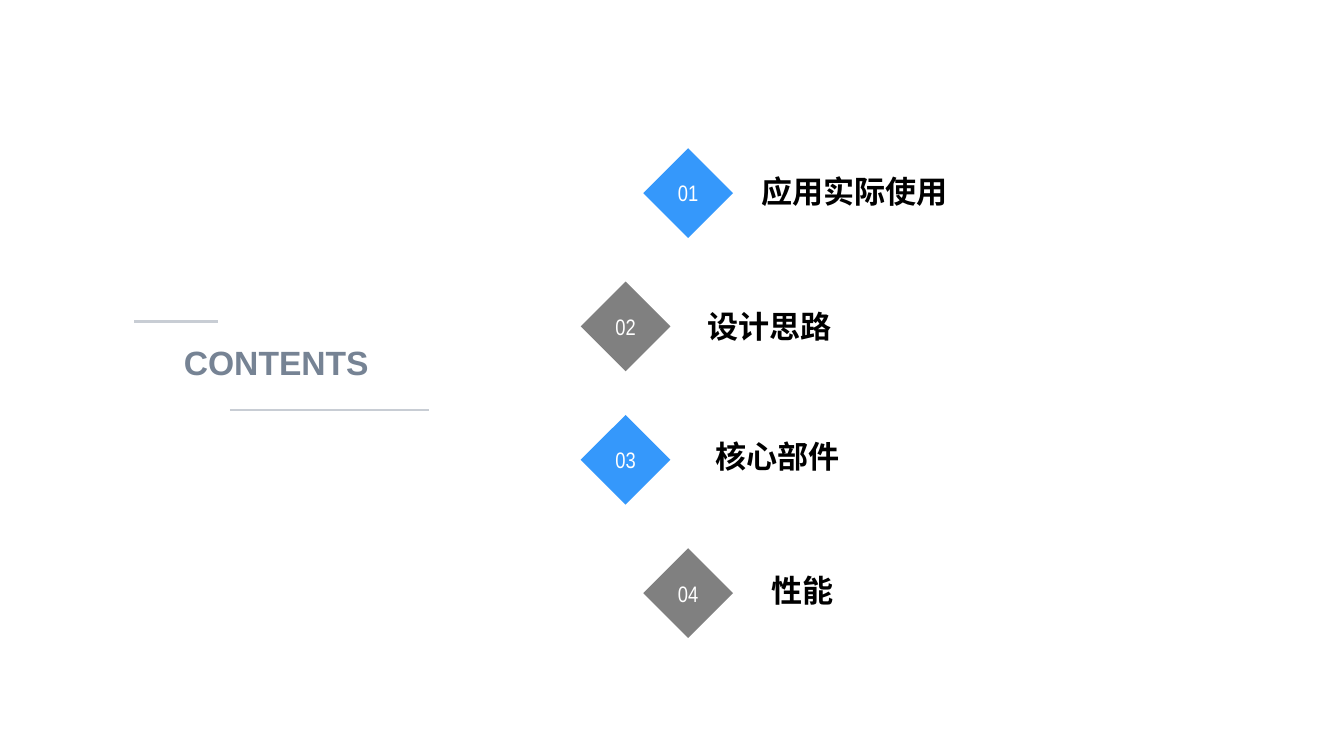
from lxml.etree import SubElement
from pptx import Presentation
from pptx.dml.color import RGBColor
from pptx.enum.shapes import MSO_CONNECTOR, MSO_SHAPE
from pptx.enum.text import MSO_ANCHOR, MSO_AUTO_SIZE, PP_ALIGN
from pptx.oxml.ns import qn
from pptx.util import Inches, Pt

BLUE = RGBColor(0x35, 0x98, 0xFB)
GRAY = RGBColor(0x80, 0x80, 0x80)
SLATE = RGBColor(0x76, 0x83, 0x94)
RULE = RGBColor(0xC8, 0xCD, 0xD4)
WHITE = RGBColor(0xFF, 0xFF, 0xFF)
BLACK = RGBColor(0x00, 0x00, 0x00)

DIAMOND_SIZE = 0.89
ROW_STEP = 1.323
ENTRIES = [
    ("应用实际使用", 0.62, 1.69, 0.26),
    ("设计思路", 0, 1.16, 0.28),
    ("核心部件", 0, 1.24, 0.24),
    ("性能", 0.62, 1.79, 0.25),
]


def write_text(shape, text, font, size, color, bold, align, anchor):
    frame = shape.text_frame
    frame.text = text
    frame.word_wrap = True
    frame.auto_size = MSO_AUTO_SIZE.NONE
    frame.vertical_anchor = anchor
    para = frame.paragraphs[0]
    para.alignment = align
    span = para.runs[0]
    span.font.name = font
    span.font.size = Pt(size)
    span.font.bold = bold
    span.font.color.rgb = color


def add_rule(page, left, top, width):
    rule = page.shapes.add_connector(
        MSO_CONNECTOR.STRAIGHT,
        Inches(left), Inches(top), Inches(left + width), Inches(top),
    )
    rule.line.color.rgb = RULE
    rule.line.width = Pt(1.75)
    SubElement(rule._element.spPr, qn("a:effectLst"))


def add_heading(page, left, top):
    title = page.shapes.title
    title.left, title.top = Inches(left + 0.32), Inches(top + 0.15)
    title.width, title.height = Inches(2.18), Inches(0.58)
    write_text(title, "CONTENTS", "Arial", 24, SLATE, True,
               PP_ALIGN.CENTER, MSO_ANCHOR.TOP)
    add_rule(page, left, top, 0.83)
    add_rule(page, left + 0.95, top + 0.88, 1.97)


def add_diamond(page, left, top, number, color):
    diamond = page.shapes.add_shape(
        MSO_SHAPE.DIAMOND, Inches(left), Inches(top),
        Inches(DIAMOND_SIZE), Inches(DIAMOND_SIZE),
    )
    diamond.shadow.inherit = False
    diamond.fill.solid()
    diamond.fill.fore_color.rgb = color
    diamond.line.fill.background()
    frame = diamond.text_frame
    frame.margin_left = frame.margin_right = 0
    write_text(diamond, f"{number:02d}", "Arial Narrow", 16, WHITE, False,
               PP_ALIGN.CENTER, MSO_ANCHOR.MIDDLE)


def add_entries(page, left, top):
    for index, (text, diamond_shift, label_shift, label_drop) in enumerate(ENTRIES):
        row_top = top + index * ROW_STEP
        color = GRAY if index % 2 else BLUE
        add_diamond(page, left + diamond_shift, row_top, index + 1, color)
        label = page.shapes.add_textbox(
            Inches(left + label_shift), Inches(row_top + label_drop),
            Inches(3.9), Inches(0.4),
        )
        write_text(label, text, "Arial", 22.2, BLACK, True,
                   PP_ALIGN.LEFT, MSO_ANCHOR.BOTTOM)


def main():
    deck = Presentation()
    deck.slide_width, deck.slide_height = Inches(13.33), Inches(7.5)
    page = deck.slides.add_slide(deck.slide_layouts[5])
    page.background.fill.solid()
    page.background.fill.fore_color.rgb = WHITE
    add_heading(page, 1.33, 3.19)
    add_entries(page, 5.76, 1.47)
    deck.save("out.pptx")


if __name__ == "__main__":
    main()
